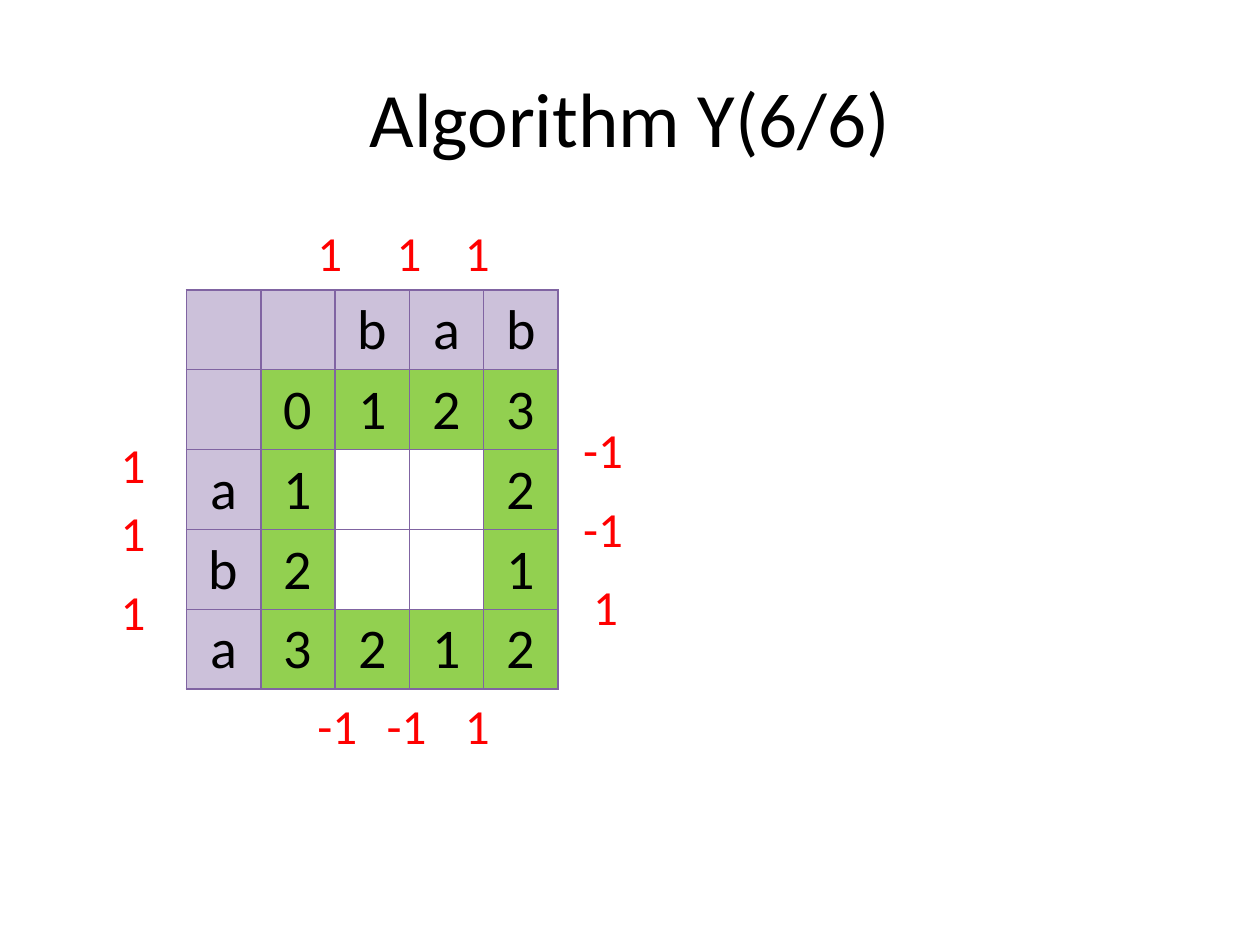
from dataclasses import dataclass

from lxml import etree
from pptx import Presentation
from pptx import util as u
from pptx.dml.color import RGBColor
from pptx.enum import text
from pptx.oxml import ns

TITLE = "Algorithm Y(6/6)"
GRID = [
    ["", "", "b", "a", "b"],
    ["", "0", "1", "2", "3"],
    ["a", "1", "", "", "2"],
    ["b", "2", "", "", "1"],
    ["a", "3", "2", "1", "2"],
]
# Differences between neighbouring cells along each side: (value, left, top)
OFFSETS = {
    "left": [("1", 0.86, 3.4), ("1", 0.86, 3.94), ("1", 0.86, 4.57)],
    "top": [("1", 2.42, 1.72), ("1", 3.05, 1.72), ("1", 3.59, 1.72)],
    "bottom": [("-1", 2.42, 5.47), ("-1", 2.97, 5.47), ("1", 3.59, 5.47)],
    "right": [("-1", 4.53, 3.28), ("-1", 4.53, 3.91), ("1", 4.61, 4.53)],
}
GRID_LEFT, GRID_TOP, CELL = 1.48, 2.3, 0.59
OFFSET_SIZE = (0.55, 0.57)


@dataclass(frozen=True)
class Theme:
    font: str = "Calibri"
    ink: str = "000000"
    offset: str = "FF0000"
    header: str = "CCC1DA"
    computed: str = "92D050"
    border: str = "8064A2"
    title_size: int = 44
    cell_size: int = 32
    offset_size: int = 28


THEME = Theme()


def style(paragraph, size, color, align):
    paragraph.alignment = align
    paragraph.font.name = THEME.font
    paragraph.font.size = u.Pt(size)
    paragraph.font.color.rgb = RGBColor.from_string(color)


def add_label(slide, words, box, size, color, align, anchor):
    label = slide.shapes.add_textbox(*map(u.Inches, box)).text_frame
    label.word_wrap = True
    label.vertical_anchor = anchor
    label.text = words
    style(label.paragraphs[0], size, color, align)
    return label


def add_borders(cell):
    """Outline all four sides; the lines must precede the fill in the XML."""
    properties = cell._tc.get_or_add_tcPr()
    for position, side in enumerate(("lnL", "lnR", "lnT", "lnB")):
        line = etree.Element(ns.qn(f"a:{side}"), w=str(u.Pt(1)))
        fill = etree.SubElement(line, ns.qn("a:solidFill"))
        etree.SubElement(fill, ns.qn("a:srgbClr"), val=THEME.border)
        properties.insert(position, line)


def fill_cell(cell, value, is_header):
    if is_header or value:
        cell.fill.solid()
        color = THEME.header if is_header else THEME.computed
        cell.fill.fore_color.rgb = RGBColor.from_string(color)
    else:
        cell.fill.background()
    add_borders(cell)
    cell.vertical_anchor = text.MSO_ANCHOR.MIDDLE
    cell.text = value
    style(cell.text_frame.paragraphs[0], THEME.cell_size, THEME.ink,
          text.PP_ALIGN.CENTER)


def add_grid(slide):
    count = len(GRID)
    side = u.Inches(CELL * count)
    grid = slide.shapes.add_table(
        count, count, u.Inches(GRID_LEFT), u.Inches(GRID_TOP), side, side).table
    grid.first_row = grid.horz_banding = False
    for row, values in enumerate(GRID):
        for column, value in enumerate(values):
            fill_cell(grid.cell(row, column), value, row == 0 or column == 0)


def main():
    deck = Presentation()
    deck.slide_width, deck.slide_height = u.Inches(10), u.Inches(7.5)
    slide = deck.slides.add_slide(deck.slide_layouts[6])

    add_label(slide, TITLE, (0.5, 0.3, 9, 1.25), THEME.title_size, THEME.ink,
              text.PP_ALIGN.CENTER, text.MSO_ANCHOR.MIDDLE)
    add_grid(slide)
    for offsets in OFFSETS.values():
        for value, left, top in offsets:
            label = add_label(slide, value, (left, top, *OFFSET_SIZE),
                              THEME.offset_size, THEME.offset,
                              text.PP_ALIGN.LEFT, text.MSO_ANCHOR.TOP)
            label.auto_size = text.MSO_AUTO_SIZE.SHAPE_TO_FIT_TEXT

    deck.save("out.pptx")


if __name__ == "__main__":
    main()
